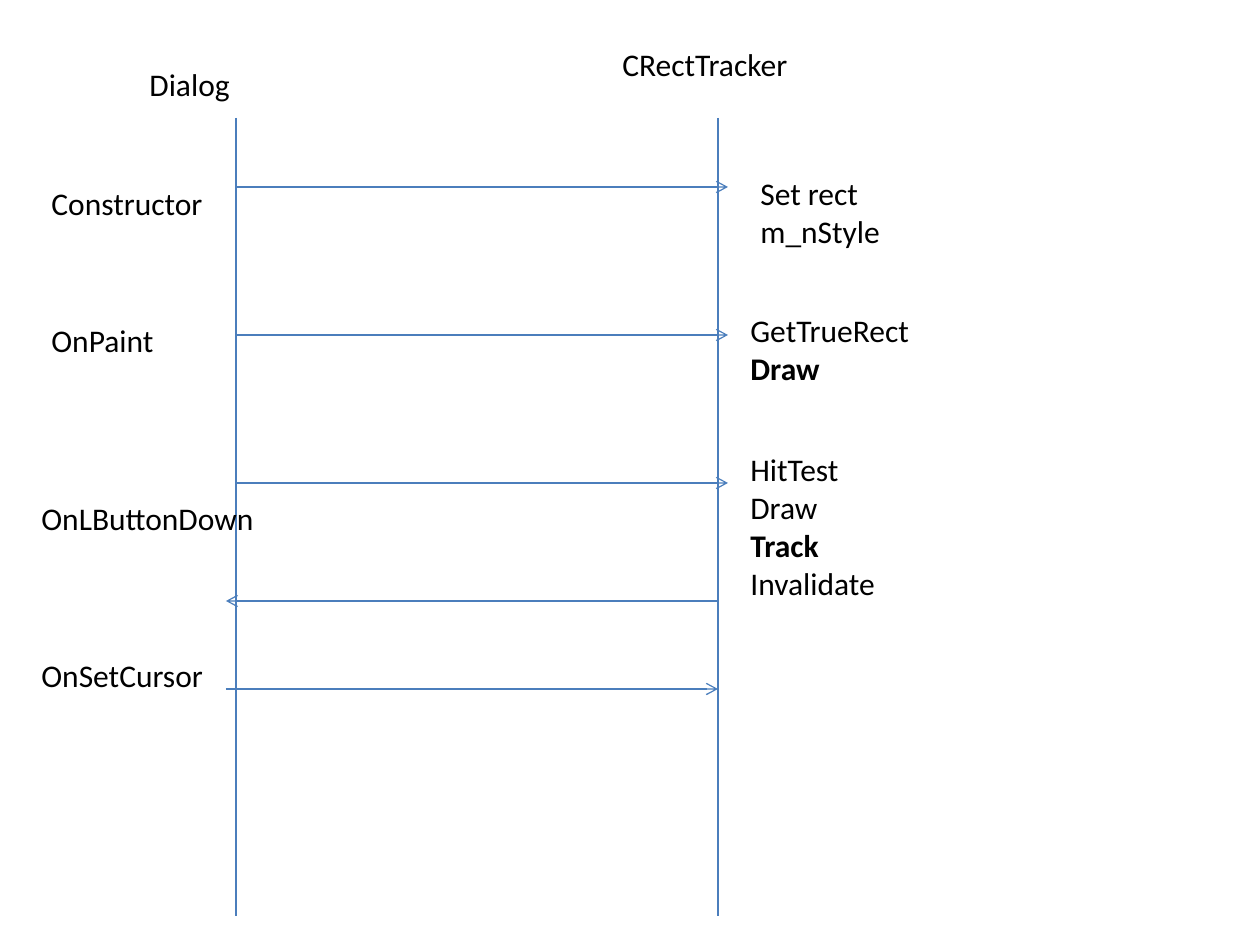
"""Build a sequence diagram of the calls between a dialog and CRectTracker."""
import dataclasses

import lxml.etree
import pptx
import pptx.dml.color
import pptx.enum.shapes
import pptx.enum.text
import pptx.oxml.ns
import pptx.util


@dataclasses.dataclass(frozen=True)
class Theme:
    font: str = "Calibri"
    text: str = "000000"
    line: str = "4B7EBC"
    text_size: float = 18
    line_width: float = 0.75


theme = Theme()
PX = 914400 // 126

deck = pptx.Presentation()
deck.slide_width = pptx.util.Inches(10)
deck.slide_height = pptx.util.Inches(7.5)
slide = deck.slides.add_slide(deck.slide_layouts[6])


def write(lines, left, top, width, height, bold_line=None, size=theme.text_size, color=theme.text):
    label = slide.shapes.add_textbox(left * PX, top * PX, width * PX, height * PX)
    frame = label.text_frame
    frame.word_wrap = True
    frame.auto_size = pptx.enum.text.MSO_AUTO_SIZE.SHAPE_TO_FIT_TEXT
    for index, line in enumerate(lines):
        paragraph = frame.paragraphs[0] if index == 0 else frame.add_paragraph()
        run = paragraph.add_run()
        run.text = line
        run.font.name = theme.font
        run.font.size = pptx.util.Pt(size)
        run.font.bold = line == bold_line
        run.font.color.rgb = pptx.dml.color.RGBColor.from_string(color)


def connect(x1, y1, x2, y2, arrow=False):
    connector = slide.shapes.add_connector(
        pptx.enum.shapes.MSO_CONNECTOR.STRAIGHT, x1 * PX, y1 * PX, x2 * PX, y2 * PX)
    connector.line.color.rgb = pptx.dml.color.RGBColor.from_string(theme.line)
    connector.line.width = pptx.util.Pt(theme.line_width)
    properties = connector._element.spPr
    if arrow:
        outline = properties.find(pptx.oxml.ns.qn("a:ln"))
        lxml.etree.SubElement(outline, pptx.oxml.ns.qn("a:tailEnd"), type="arrow")
    lxml.etree.SubElement(properties, pptx.oxml.ns.qn("a:effectLst"))


dialog_x, tracker_x = 236, 718
overshoot = 10

for lifeline_x in (dialog_x, tracker_x):
    connect(lifeline_x, 118, lifeline_x, 916)

for call_y in (187, 335, 483):
    connect(dialog_x, call_y, tracker_x + overshoot, call_y, arrow=True)
connect(tracker_x, 601, dialog_x - overshoot, 601, arrow=True)
connect(dialog_x - overshoot, 689, tracker_x, 689, arrow=True)

captions = [
    ("CRectTracker", 610, 39, 325),
    ("Dialog", 137, 59, 295),
    ("Constructor", 39, 178, 295),
    ("OnPaint", 39, 315, 186),
    ("OnLButtonDown", 29, 493, 286),
    ("OnSetCursor", 29, 650, 286),
]
for caption, left, top, width in captions:
    write([caption], left, top, width, 50)

tracker_steps = [
    (["Set rect", "m_nStyle"], 748, 168, 89, None),
    (["GetTrueRect", "Draw"], 738, 305, 89, "Draw"),
    (["HitTest", "Draw", "Track", "Invalidate"], 738, 444, 165, "Track"),
]
for steps, left, top, height, key_step in tracker_steps:
    write(steps, left, top, 256, height, bold_line=key_step)

deck.save("out.pptx")
